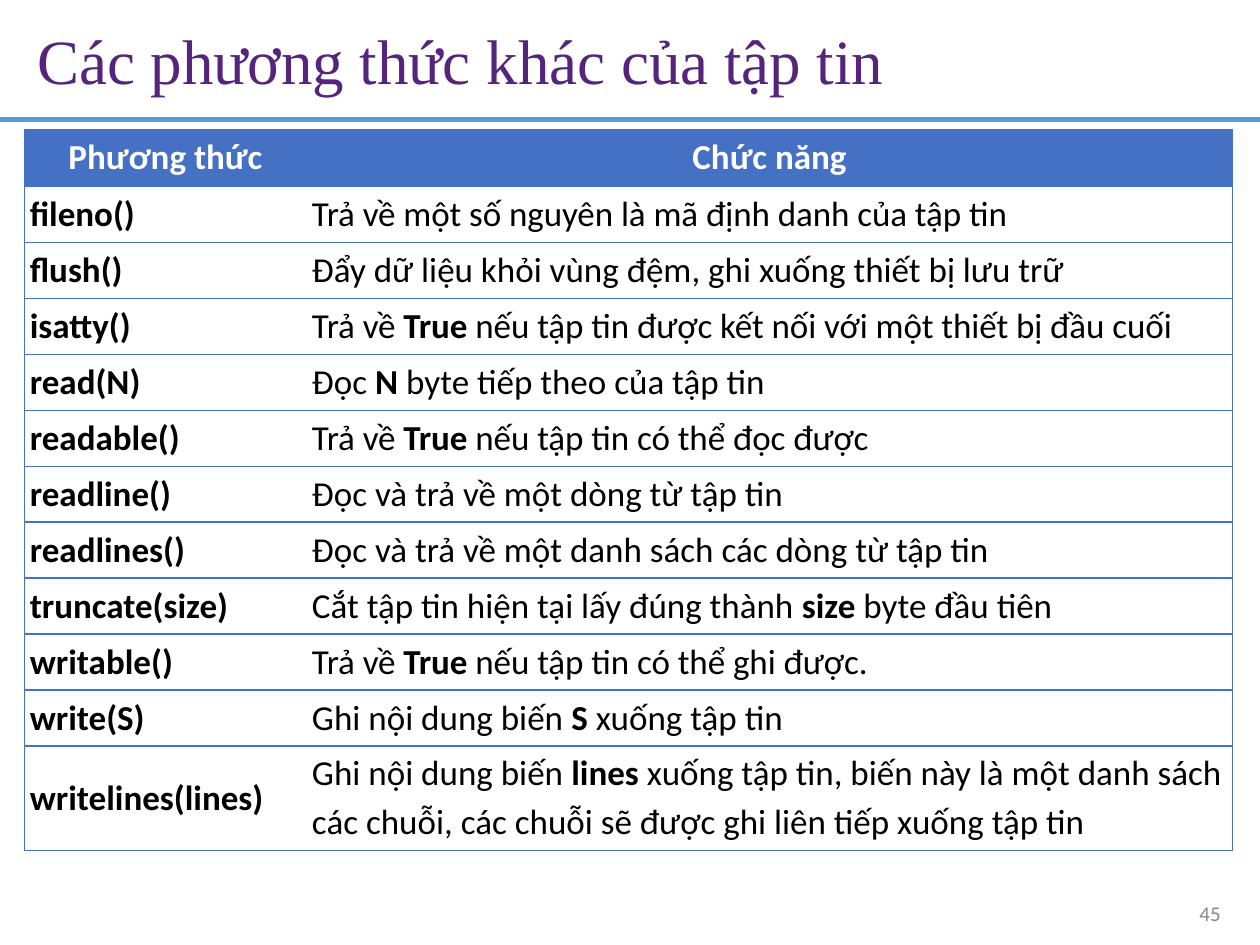
from lxml import etree
from pptx import Presentation
from pptx.dml.color import RGBColor
from pptx.enum.shapes import MSO_CONNECTOR
from pptx.enum.text import MSO_ANCHOR, MSO_AUTO_SIZE, PP_ALIGN
from pptx.oxml.ns import qn
from pptx.util import Cm, Pt

LEFT, CENTER = PP_ALIGN.LEFT, PP_ALIGN.CENTER
TOP, MIDDLE = MSO_ANCHOR.TOP, MSO_ANCHOR.MIDDLE
STRAIGHT = MSO_CONNECTOR.STRAIGHT
NO_FIT = MSO_AUTO_SIZE.NONE

BLUE = "4471C4"
HEADS = ("Phương thức", "Chức năng")
ROWS = [
    ("fileno()", "Trả về một số nguyên là mã định danh của tập tin"),
    ("flush()", "Đẩy dữ liệu khỏi vùng đệm, ghi xuống thiết bị lưu trữ"),
    ("isatty()", "Trả về *True *nếu tập tin được kết nối với một thiết bị đầu cuối"),
    ("read(N)", "Đọc *N *byte tiếp theo của tập tin"),
    ("readable()", "Trả về *True *nếu tập tin có thể đọc được"),
    ("readline()", "Đọc và trả về một dòng từ tập tin"),
    ("readlines()", "Đọc và trả về một danh sách các dòng từ tập tin"),
    ("truncate(size)", "Cắt tập tin hiện tại lấy đúng thành *size *byte đầu tiên"),
    ("writable()", "Trả về *True *nếu tập tin có thể ghi được."),
    ("write(S)", "Ghi nội dung biến *S *xuống tập tin"),
    ("writelines(lines)",
     "Ghi nội dung biến *lines *xuống tập tin, biến này là một danh sách\n"
     "các chuỗi, các chuỗi sẽ được ghi liên tiếp xuống tập tin"),
]


def rgb(code):
    return RGBColor.from_string(code)


def write(frame, text, size=20, font="Calibri", color="000000",
          bold=False, align=LEFT, gap=0, track=0):
    for row, line in enumerate(text.split("\n")):
        para = frame.add_paragraph() if row else frame.paragraphs[0]
        para.alignment = align
        para.space_before = Pt(gap if row else 0)
        para.line_spacing = 1.0
        for part, words in enumerate(line.split("*")):
            run = para.add_run()
            run.text = words
            run.font.name = font
            run.font.size = Pt(size)
            run.font.bold = bold or part % 2 == 1
            run.font.color.rgb = rgb(color)
            if track:
                run.font._element.set("spc", str(track))


def clear(frame, left=0):
    frame.margin_left = Cm(left)
    frame.margin_right = frame.margin_top = frame.margin_bottom = 0
    frame.vertical_anchor = TOP
    frame.auto_size = NO_FIT
    frame.word_wrap = True


def edge(cell, sides):
    props = cell._tc.get_or_add_tcPr()
    for side in "LRTB":
        line = etree.SubElement(props, qn("a:ln" + side), w=str(Pt(1)))
        if side in sides:
            fill = etree.SubElement(line, qn("a:solidFill"))
            etree.SubElement(fill, qn("a:srgbClr"), val=BLUE)
        else:
            etree.SubElement(line, qn("a:noFill"))


def add_title(slide, left, top, width, height):
    title = slide.shapes.title
    title.left, title.top = Cm(left), Cm(top)
    title.width, title.height = Cm(width), Cm(height)
    clear(title.text_frame, 0.03)
    write(title.text_frame, "Các phương thức khác của tập tin",
          size=36, font="Times New Roman", color="56247C")


def add_rule(slide, left, top, width):
    rule = slide.shapes.add_connector(
        STRAIGHT, Cm(left), Cm(top), Cm(left + width), Cm(top))
    rule.line.color.rgb = rgb("5B9BD4")
    rule.line.width = Pt(3)
    etree.SubElement(rule._element.spPr, qn("a:effectLst"))


def add_grid(slide, left, top, width, height):
    first, strip, head, last = 5.31, 0.2, 1.15, 2.11
    step = (height - strip - head - last) / (len(ROWS) - 1)
    sizes = [strip, head] + [step] * (len(ROWS) - 1) + [last]
    table = slide.shapes.add_table(
        len(sizes), 2, Cm(left), Cm(top), Cm(width), Cm(height)).table
    table.first_row = table.horz_banding = False
    for col, size in zip(table.columns, (first, width - first)):
        col.width = Cm(size)
    for row, size in zip(table.rows, sizes):
        row.height = Cm(size)
    for r, texts in enumerate([("", ""), HEADS] + ROWS):
        for c, text in enumerate(texts):
            cell = table.cell(r, c)
            frame = cell.text_frame
            cell.margin_right = cell.margin_top = cell.margin_bottom = 0
            cell.vertical_anchor = MIDDLE
            edge(cell, ("LTB", "RTB")[c] if r > 1 else "")
            if r == 1:
                cell.margin_left = Cm((0.89, 0.38)[c])
                cell.fill.solid()
                cell.fill.fore_color.rgb = rgb(BLUE)
                write(frame, text, color="FFFFFF", bold=True,
                      align=(LEFT, CENTER)[c])
                continue
            cell.margin_left = Cm((0.11, 0.49)[c])
            cell.fill.background()
            if text:
                write(frame, text, bold=c == 0, gap=3.6,
                      track=-5 if text.startswith("Trả") else 0)
            else:
                etree.SubElement(frame.paragraphs[0]._p,
                                 qn("a:endParaRPr"), sz="100")


def add_number(slide, left, top, width, height):
    box = slide.shapes.add_textbox(Cm(left), Cm(top), Cm(width), Cm(height))
    clear(box.text_frame, 0.1)
    write(box.text_frame, "45", size=12, color="888888")


def main():
    deck = Presentation()
    deck.slide_width, deck.slide_height = Cm(25.4), Cm(19.05)
    slide = deck.slides.add_slide(deck.slide_layouts[5])
    add_rule(slide, 0, 2.41, 25.4)
    add_title(slide, 0.72, 0.43, 17.5, 1.6)
    add_grid(slide, 0.49, 2.41, 24.36, 14.74)
    add_number(slide, 24.08, 18.16, 0.64, 0.48)
    deck.save("out.pptx")


if __name__ == "__main__":
    main()
